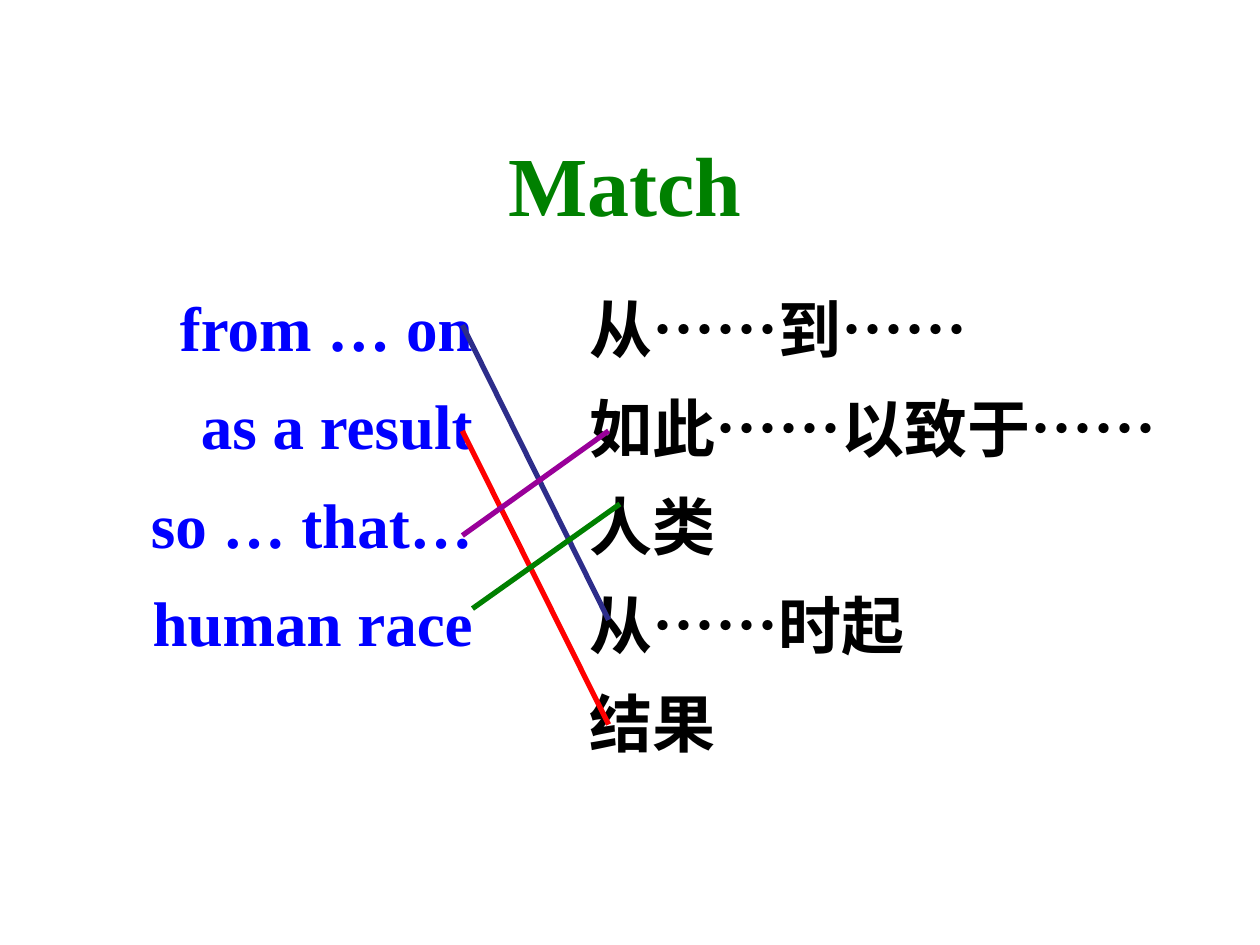
import lxml.etree
import pptx
import pptx.dml.color
import pptx.enum.shapes
import pptx.enum.text
import pptx.oxml.ns
import pptx.util

Inches = pptx.util.Inches
Align = pptx.enum.text.PP_ALIGN

COLORS = {
    "english": "0000FF",
    "chinese": "000000",
    "green": "008000",
    "navy": "2D2D8A",
    "red": "FF0000",
    "purple": "990099",
}
ENGLISH = ["from … on", "as a result", "so … that…", "human race"]
CHINESE = ["从……到……", "如此……以致于……", "人类", "从……时起", "结果"]
MATCHES = [
    ("navy", (3.67, 2.58), (4.83, 4.92)),
    ("red", (3.67, 3.42), (4.83, 5.75)),
    ("purple", (3.67, 4.25), (4.83, 3.42)),
    ("green", (3.75, 4.83), (4.92, 4)),
]


class SlideBuilder:
    font_name = "Times New Roman"
    line_pitch = pptx.util.Pt(56.2)

    def __init__(self, slide):
        self.slide = slide

    def color(self, name):
        return pptx.dml.color.RGBColor.from_string(COLORS[name])

    def format_paragraph(self, paragraph, size, color, alignment):
        paragraph.alignment = alignment
        font = paragraph.font
        font.name = self.font_name
        font.size = pptx.util.Pt(size)
        font.bold = True
        font.color.rgb = self.color(color)

    def title(self, text, left, top, width, height):
        shape = self.slide.shapes.title
        shape.left, shape.top = Inches(left), Inches(top)
        shape.width, shape.height = Inches(width), Inches(height)
        frame = shape.text_frame
        frame.text = text
        frame.vertical_anchor = pptx.enum.text.MSO_ANCHOR.TOP
        self.format_paragraph(frame.paragraphs[0], 48, "green", Align.CENTER)

    def phrases(self, lines, left, top, width, height, color, alignment):
        shape = self.slide.shapes.add_textbox(
            Inches(left), Inches(top), Inches(width), Inches(height))
        frame = shape.text_frame
        frame.word_wrap = True
        frame.text = "\n".join(lines)
        for paragraph in frame.paragraphs:
            paragraph.line_spacing = self.line_pitch
            self.format_paragraph(paragraph, 36, color, alignment)

    def match_line(self, color, start, end):
        connector = self.slide.shapes.add_connector(
            pptx.enum.shapes.MSO_CONNECTOR.STRAIGHT,
            *(Inches(value) for value in start + end))
        connector.line.color.rgb = self.color(color)
        connector.line.width = pptx.util.Pt(3)
        lxml.etree.SubElement(
            connector._element.spPr, pptx.oxml.ns.qn("a:effectLst"))


def main():
    presentation = pptx.Presentation()
    presentation.slide_width = Inches(10)
    presentation.slide_height = Inches(7.5)
    slide = presentation.slides.add_slide(presentation.slide_layouts[5])
    builder = SlideBuilder(slide)
    builder.title("Match", 3.58, 1, 2.76, 0.9)
    builder.phrases(ENGLISH, 0.5, 2.06, 3.35, 3.22, "english", Align.RIGHT)
    builder.phrases(CHINESE, 4.58, 2.08, 4.75, 4, "chinese", Align.LEFT)
    for color, start, end in MATCHES:
        builder.match_line(color, start, end)
    presentation.save("out.pptx")


if __name__ == "__main__":
    main()
